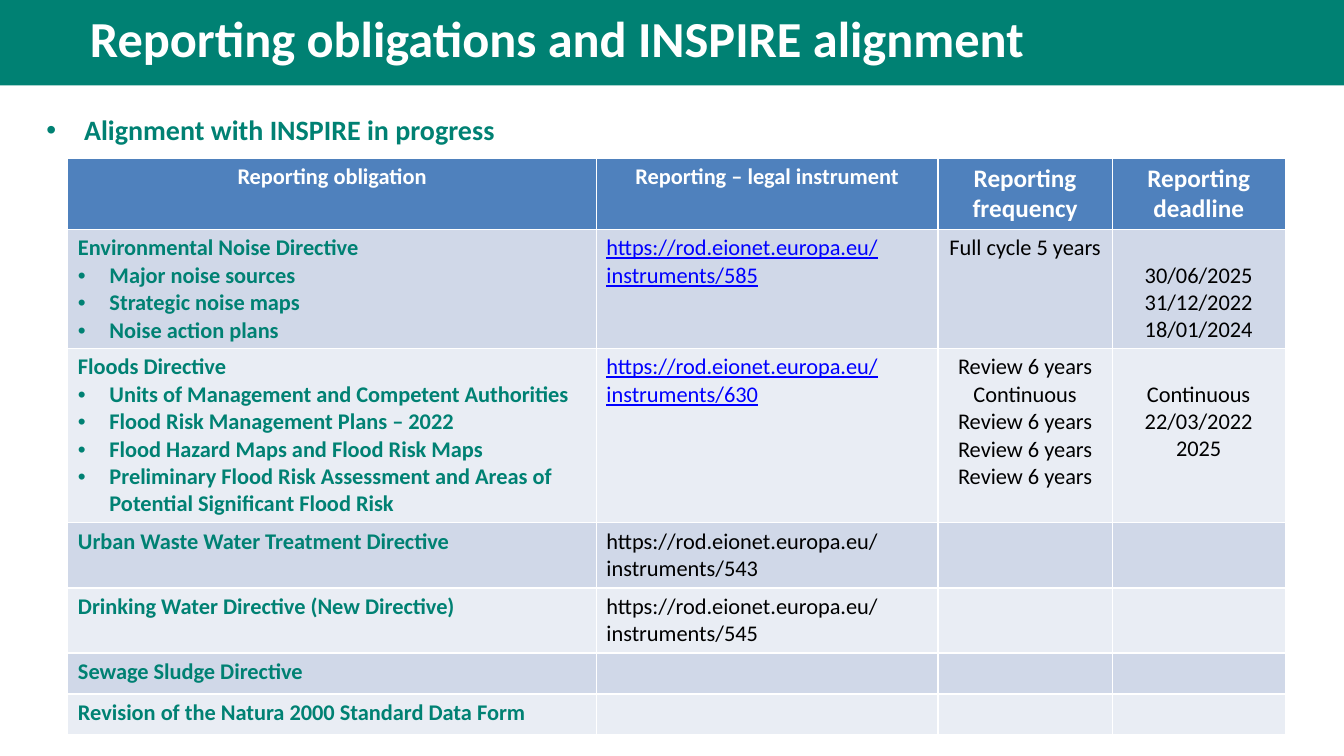
import pptx
import pptx.util
import pptx.dml.color
import pptx.enum.shapes
import pptx.enum.text
import pptx.oxml.ns
from lxml import etree

Pt = pptx.util.Pt
RGBColor = pptx.dml.color.RGBColor
Align = pptx.enum.text.PP_ALIGN
Anchor = pptx.enum.text.MSO_ANCHOR

TEAL = RGBColor(0x00, 0x81, 0x73)
WHITE = RGBColor(0xFF, 0xFF, 0xFF)
BLACK = RGBColor(0x00, 0x00, 0x00)
LINK_BLUE = RGBColor(0x00, 0x00, 0xFF)
HEADER_BLUE = RGBColor(0x4F, 0x81, 0xBD)
BAND_COLORS = [RGBColor(0xD0, 0xD8, 0xE8), RGBColor(0xE9, 0xED, 0xF4)]


def write(paragraph, text, size, color, bold=False, align=Align.LEFT):
    paragraph.text = text
    paragraph.alignment = align
    paragraph.font.name = "Calibri"
    paragraph.font.size = Pt(size)
    paragraph.font.bold = bold
    paragraph.font.color.rgb = color


def add_bullet(paragraph, indent):
    properties = paragraph._p.get_or_add_pPr()
    properties.set("marL", str(Pt(indent)))
    properties.set("indent", str(-Pt(indent)))
    font = etree.SubElement(properties, pptx.oxml.ns.qn("a:buFont"), typeface="Arial")
    bullet = etree.SubElement(properties, pptx.oxml.ns.qn("a:buChar"), char="•")
    # Bullet elements come before the default run properties
    properties.insert_element_before(font, "a:defRPr")
    properties.insert_element_before(bullet, "a:defRPr")


presentation = pptx.Presentation()
presentation.slide_width = Pt(960)
presentation.slide_height = Pt(540)
slide = presentation.slides.add_slide(presentation.slide_layouts[5])

# Banner, placed behind the title
banner = slide.shapes.add_shape(
    pptx.enum.shapes.MSO_SHAPE.RECTANGLE, Pt(0), Pt(0), Pt(960), Pt(61))
banner.shadow.inherit = False
banner.fill.solid()
banner.fill.fore_color.rgb = TEAL
banner.line.fill.background()
slide.shapes._spTree.insert(2, banner._element)

# Title
title = slide.shapes.title
title.left, title.top, title.width, title.height = Pt(57), Pt(0), Pt(903), Pt(53.5)
title.text_frame.auto_size = pptx.enum.text.MSO_AUTO_SIZE.NONE
title.text_frame.vertical_anchor = Anchor.MIDDLE
write(title.text_frame.paragraphs[0], "Reporting obligations and INSPIRE alignment",
      36, WHITE, True)

# Status line
status = slide.shapes.add_textbox(Pt(26), Pt(65), Pt(477), Pt(40))
status.text_frame.word_wrap = True
paragraph = status.text_frame.paragraphs[0]
write(paragraph, "Alignment with INSPIRE in progress", 20, TEAL, True)
paragraph.line_spacing = 1.5
add_bullet(paragraph, 27)

# Table content: obligation lines, instrument number, frequencies, deadlines
headers = [("Reporting obligation", 16), ("Reporting – legal instrument", 16),
           ("Reporting frequency", 18), ("Reporting deadline", 18)]
obligations = [
    (["Environmental Noise Directive", "Major noise sources",
      "Strategic noise maps", "Noise action plans"],
     585, ["Full cycle 5 years"], ["30/06/2025", "31/12/2022", "18/01/2024"]),
    (["Floods Directive", "Units of Management and Competent Authorities",
      "Flood Risk Management Plans – 2022", "Flood Hazard Maps and Flood Risk Maps",
      "Preliminary Flood Risk Assessment and Areas of Potential Significant Flood Risk"],
     630, ["Review 6 years", "Continuous"] + ["Review 6 years"] * 3,
     ["Continuous", "22/03/2022", "2025"]),
    (["Urban Waste Water Treatment Directive"], 543, [], []),
    (["Drinking Water Directive (New Directive)"], 545, [], []),
    (["Sewage Sludge Directive"], None, [], []),
    (["Revision of the Natura 2000 Standard Data Form"], None, [], []),
]
column_widths = [377.5, 244, 124.5, 123.5]
row_heights = [51, 85, 124.5, 46.5, 46.5, 29.25, 29.25]

table = slide.shapes.add_table(
    len(row_heights), len(column_widths), Pt(48.5), Pt(113),
    Pt(sum(column_widths)), Pt(sum(row_heights))).table
for column, width in zip(table.columns, column_widths):
    column.width = Pt(width)
for row, height in zip(table.rows, row_heights):
    row.height = Pt(height)

# Header row
for cell, (text, size) in zip(table.rows[0].cells, headers):
    cell.fill.solid()
    cell.fill.fore_color.rgb = HEADER_BLUE
    write(cell.text_frame.paragraphs[0], text, size, WHITE, True, Align.CENTER)

# Body rows
for row_index, (names, instrument, frequencies, deadlines) in enumerate(obligations):
    cells = table.rows[row_index + 1].cells
    links = [f"https://rod.eionet.europa.eu/instruments/{instrument}"] if instrument else []
    for column_index, lines in enumerate([names, links, frequencies, deadlines]):
        cell = cells[column_index]
        cell.fill.solid()
        cell.fill.fore_color.rgb = BAND_COLORS[row_index % 2]
        for line_index, line in enumerate(lines):
            frame = cell.text_frame
            paragraph = frame.add_paragraph() if line_index else frame.paragraphs[0]
            write(paragraph, line, 16, BLACK if column_index else TEAL,
                  column_index == 0, Align.CENTER if column_index > 1 else Align.LEFT)
            if column_index == 0 and line_index:
                add_bullet(paragraph, 22.5)
            if column_index == 1 and deadlines:
                paragraph.font.color.rgb = LINK_BLUE
                paragraph.font.underline = True
    # Deadlines start level with the first bulleted line
    if deadlines:
        cells[3].margin_top = Pt(23.1)

presentation.save("out.pptx")
